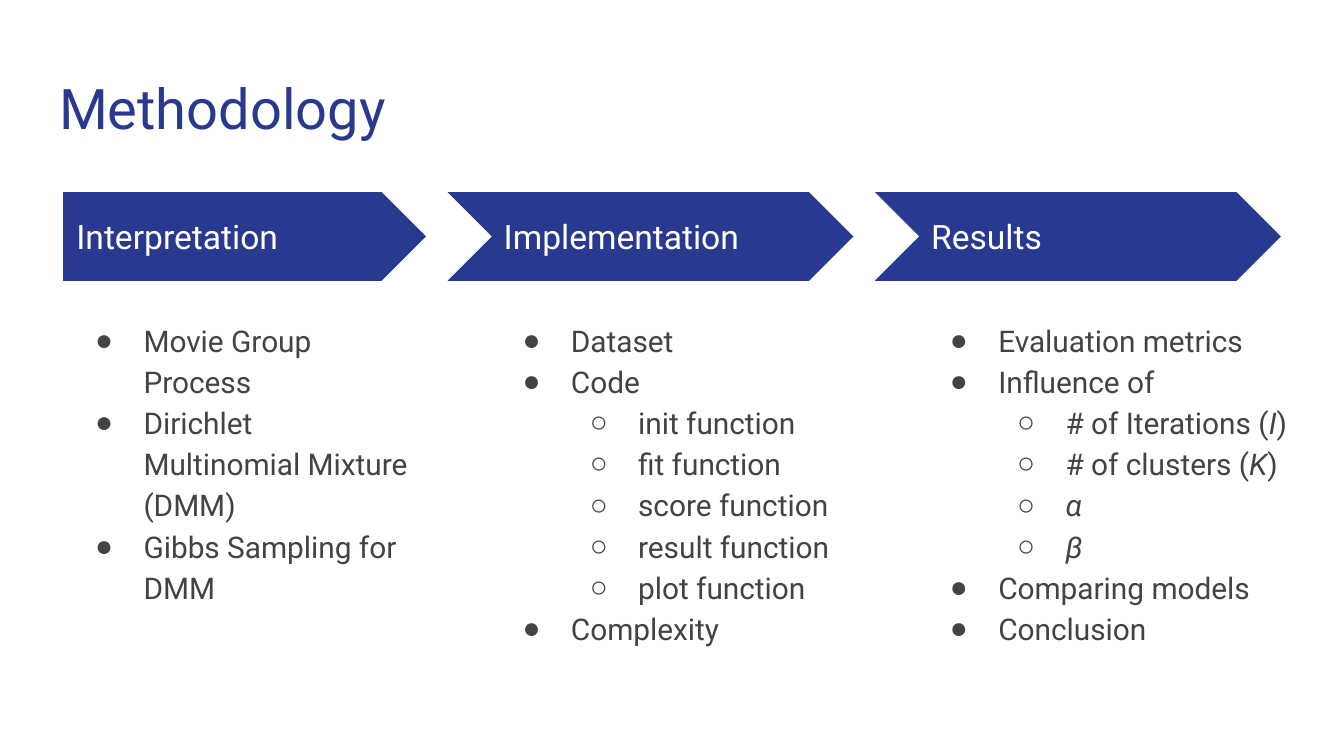
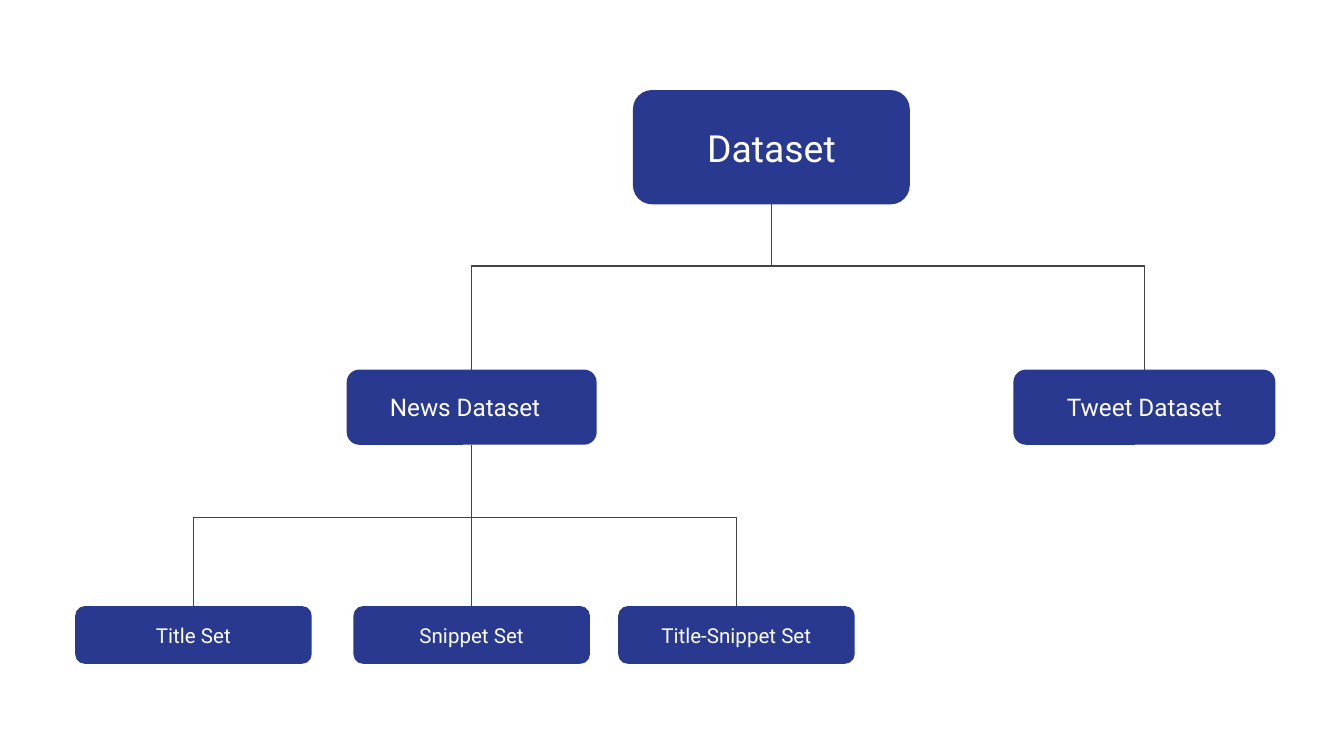
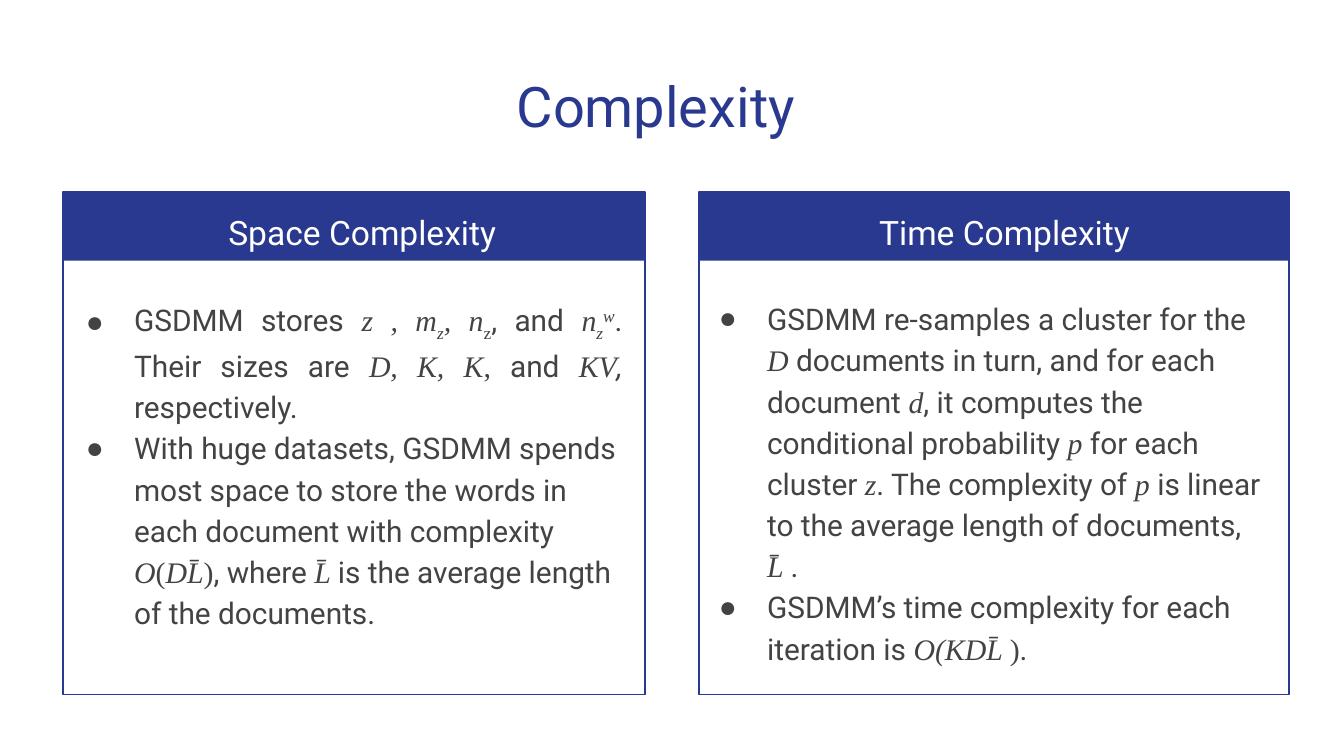
from collections import namedtuple

from lxml.etree import SubElement
from pptx import Presentation
from pptx.dml.color import RGBColor
from pptx.enum.shapes import MSO_CONNECTOR, MSO_SHAPE
from pptx.enum.text import MSO_ANCHOR, PP_ALIGN
from pptx.oxml.ns import qn
from pptx.util import Inches, Pt

NAVY = RGBColor(0x2A, 0x39, 0x90)
GREY = RGBColor(0x43, 0x43, 0x43)
WHITE = RGBColor(0xFF, 0xFF, 0xFF)
SANS = "Roboto"
SERIF = "Times New Roman"
TITLE_ONLY, BLANK = 5, 6
MARGIN = 0.47
BAND_TOP = 1.43

Box = namedtuple("Box", "left top width height")
Style = namedtuple("Style", "font italic baseline")
Item = namedtuple("Item", "spans level align", defaults=(0, PP_ALIGN.LEFT))

PLAIN = Style(SANS, False, 0)
SLANT = Style(SANS, True, 0)
MATH = Style(SERIF, True, 0)
UPRIGHT = Style(SERIF, False, 0)
SUB = Style(SERIF, True, -25000)
UPRIGHT_SUB = Style(SERIF, False, -25000)
SUP = Style(SERIF, True, 30000)

STEPS = [
    ("Interpretation", 2.7, [
        Item("Movie Group Process"),
        Item("Dirichlet Multinomial Mixture (DMM)"),
        Item("Gibbs Sampling for DMM"),
    ]),
    ("Implementation", 2.7, [
        Item("Dataset"),
        Item("Code"),
        *[Item(f"{name} function", 1) for name in ("init", "fit", "score", "result", "plot")],
        Item("Complexity"),
    ]),
    ("Results", 2.87, [
        Item("Evaluation metrics"),
        Item("Influence of"),
        Item([("# of Iterations (", PLAIN), ("I", SLANT), (")", PLAIN)], 1),
        Item([("# of clusters (", PLAIN), ("K", SLANT), (")", PLAIN)], 1),
        Item([("α", SLANT)], 1),
        Item([("β", SLANT)], 1),
        Item("Comparing models"),
        Item("Conclusion"),
    ]),
]

SPACE_ITEMS = [
    Item([
        ("GSDMM stores ", PLAIN), ("z , m", MATH), ("z", SUB), (", n", MATH),
        ("z", UPRIGHT_SUB), (", and ", PLAIN), ("n", MATH), ("z", SUB), ("w", SUP),
        (". Their sizes are ", PLAIN), ("D, K, K", MATH), (",", UPRIGHT),
        (" and ", PLAIN), ("KV", MATH), (",", SLANT), (" respectively.", PLAIN),
    ], align=PP_ALIGN.JUSTIFY),
    Item([
        ("With huge datasets, GSDMM spends most space to store the words in each "
         "document with complexity ", PLAIN),
        ("O", MATH), ("(", UPRIGHT), ("DL̄", MATH), (")", UPRIGHT), (", where ", PLAIN),
        ("L̄ ", MATH), ("is the average length of the documents.", PLAIN),
    ]),
]

TIME_ITEMS = [
    Item([
        ("GSDMM re-samples a cluster for the ", PLAIN), ("D", MATH),
        (" documents in turn, and for each document ", PLAIN), ("d", MATH),
        (", it computes the conditional probability ", PLAIN), ("p", MATH),
        (" for each cluster ", PLAIN), ("z", MATH), (". The complexity of ", PLAIN),
        ("p", MATH), (" is linear to the average length of documents, ", PLAIN),
        ("L̄ ", MATH), (".", PLAIN),
    ]),
    Item([
        ("GSDMM’s time complexity for each iteration is ", PLAIN),
        ("O(KDL̄ ", MATH), (")", UPRIGHT), (".", PLAIN),
    ]),
]


def inches(box):
    """Return the box's four lengths as Inches."""
    return [Inches(value) for value in box]


def add_span(para, text, size, color, style=PLAIN):
    """Add one formatted run to a paragraph."""
    span = para.add_run()
    span.text = text
    span.font.size = Pt(size)
    span.font.name = style.font
    span.font.italic = style.italic
    span.font.color.rgb = color
    if style.baseline:
        span._r.get_or_add_rPr().set("baseline", str(style.baseline))


def set_frame(frame, anchor):
    """Give a text frame wrapping, even insets and an anchor."""
    frame.word_wrap = True
    frame.vertical_anchor = anchor
    frame.margin_left = frame.margin_right = Inches(0.1)
    frame.margin_top = frame.margin_bottom = Inches(0.1)


def add_title(page, text, box, align=PP_ALIGN.LEFT):
    """Place and format the title placeholder."""
    title = page.shapes.title
    title.left, title.top, title.width, title.height = inches(box)
    set_frame(title.text_frame, MSO_ANCHOR.TOP)
    para = title.text_frame.paragraphs[0]
    para.alignment = align
    add_span(para, text, 30, NAVY)


def add_label(page, text, box, size, align=PP_ALIGN.CENTER, anchor=MSO_ANCHOR.MIDDLE, spacing=1.0):
    """Add one line of white text."""
    frame = page.shapes.add_textbox(*inches(box)).text_frame
    set_frame(frame, anchor)
    para = frame.paragraphs[0]
    para.alignment = align
    para.line_spacing = spacing
    add_span(para, text, size, WHITE)


def set_bullet(para, level):
    """Indent a paragraph and give it the bullet of its level."""
    para.level = level
    props = para._p.get_or_add_pPr()
    props.set("marL", str(Inches(0.5 * (level + 1))))
    props.set("indent", str(Inches(-0.36)))
    color = SubElement(props, qn("a:buClr"))
    SubElement(color, qn("a:srgbClr"), val=str(GREY))
    SubElement(props, qn("a:buFont"), typeface=SERIF)
    SubElement(props, qn("a:buChar"), char="●○"[level])


def add_bullets(page, items, box):
    """Add a bulleted list."""
    frame = page.shapes.add_textbox(*inches(box)).text_frame
    set_frame(frame, MSO_ANCHOR.TOP)
    for index, item in enumerate(items):
        para = frame.add_paragraph() if index else frame.paragraphs[0]
        para.alignment = item.align
        para.line_spacing = 1.15
        set_bullet(para, item.level)
        spans = [(item.spans, PLAIN)] if isinstance(item.spans, str) else item.spans
        for text, style in spans:
            add_span(para, text, 16, GREY, style)


def add_block(shapes, kind, box, filled=True):
    """Add a navy shape, either filled or outlined."""
    block = shapes.add_shape(kind, *inches(box))
    block.shadow.inherit = False
    if filled:
        block.fill.solid()
        block.fill.fore_color.rgb = NAVY
        block.line.fill.background()
    else:
        block.fill.background()
        block.line.color.rgb = NAVY
        block.line.width = Pt(0.75)
    return block


def add_step(page, heading, items, box, first):
    """Add one process arrow with its heading and list."""
    notch = 0 if first else 0.32
    kind = MSO_SHAPE.PENTAGON if first else MSO_SHAPE.CHEVRON
    arrow = Box(box.left - notch, box.top, 2.7 + notch, 0.66)
    add_block(page.shapes, kind, arrow).adjustments[0] = 0.5
    add_label(page, heading, Box(box.left, box.top + 0.16, 2.47, 0.34), 18, PP_ALIGN.LEFT)
    add_bullets(page, items, Box(box.left, box.top + 0.83, box.width, box.height - 0.83))


def add_node(page, text, box, label_size, size, shift=0):
    """Add one tree node with its label centred on it."""
    node = add_block(page.shapes, MSO_SHAPE.ROUNDED_RECTANGLE, box)
    width, height = label_size
    left = box.left + (box.width - width) / 2 + shift
    add_label(page, text, Box(left, box.top + (box.height - height) / 2, width, height), size)
    return node


def add_branch(page, start, end, source=None, target=None, bent=False):
    """Add a tree line, joined to the nodes it touches."""
    kind = MSO_CONNECTOR.ELBOW if bent else MSO_CONNECTOR.STRAIGHT
    branch = page.shapes.add_connector(kind, *inches(start + end))
    if bent:
        branch.element.spPr.find(qn("a:prstGeom")).set("prst", "bentConnector2")
    if source is not None:
        branch.begin_connect(source, 2)
    if target is not None:
        branch.end_connect(target, 0)
    branch.line.color.rgb = GREY
    branch.line.width = Pt(0.75)
    SubElement(branch.element.spPr, qn("a:effectLst"))


def add_panel(page, heading, items, box, heading_box, list_shift):
    """Add an outlined panel with a heading band and a list."""
    group = page.shapes.add_group_shape()
    add_block(group.shapes, MSO_SHAPE.RECTANGLE, box._replace(height=0.51))
    add_block(group.shapes, MSO_SHAPE.RECTANGLE, box, filled=False)
    add_label(page, heading, heading_box, 18, anchor=MSO_ANCHOR.TOP, spacing=1.15)
    add_bullets(page, items, Box(box.left + list_shift, box.top + 0.67, box.width, 3.23))


def build_methodology(deck):
    """Build the three-step process slide."""
    page = deck.slides.add_slide(deck.slide_layouts[TITLE_ONLY])
    add_title(page, "Methodology", Box(0.34, 0.45, 9.32, 0.66))
    for index, (heading, width, items) in enumerate(STEPS):
        box = Box(MARGIN + 3.18 * index, BAND_TOP, width, 3.73)
        add_step(page, heading, items, box, index == 0)


def build_dataset_tree(deck):
    """Build the dataset tree slide."""
    page = deck.slides.add_slide(deck.slide_layouts[BLANK])
    root = add_node(page, "Dataset", Box(4.71, 0.67, 2.06, 0.85), (1.7, 0.79), 20)
    news = add_node(page, "News Dataset", Box(2.58, 2.75, 1.86, 0.56), (1.76, 0.26), 13, -0.05)
    title_set, snippet_set, both_set = [
        add_node(page, text, Box(left, 4.51, 1.76, 0.43), (1.76, 0.26), 11)
        for text, left in (("Title Set", 0.56), ("Snippet Set", 2.63), ("Title-Snippet Set", 4.6))
    ]
    tweet = add_node(page, "Tweet Dataset", Box(7.54, 2.75, 1.95, 0.56), (1.76, 0.26), 13)

    root_fork, news_fork = (5.74, 1.98), (3.51, 3.85)
    add_branch(page, (5.74, 1.52), root_fork, source=root)
    add_branch(page, (3.51, 3.31), news_fork, source=news)
    add_branch(page, news_fork, (3.51, 4.51), target=snippet_set)
    for fork, end, target in (
        (root_fork, (3.51, 2.75), news),
        (root_fork, (8.52, 2.75), tweet),
        (news_fork, (1.44, 4.51), title_set),
        (news_fork, (5.48, 4.51), both_set),
    ):
        add_branch(page, fork, end, target=target, bent=True)


def build_complexity(deck):
    """Build the slide with two complexity panels."""
    page = deck.slides.add_slide(deck.slide_layouts[TITLE_ONLY])
    add_title(page, "Complexity", Box(0.22, 0.43, 9.32, 0.66), PP_ALIGN.CENTER)
    add_panel(page, "Space Complexity", SPACE_ITEMS, Box(MARGIN, BAND_TOP, 4.33, 3.74),
              Box(MARGIN, BAND_TOP, 4.45, 0.5), -0.07)
    add_panel(page, "Time Complexity", TIME_ITEMS, Box(5.2, BAND_TOP, 4.39, 3.74),
              Box(5.36, BAND_TOP, 4.23, 0.5), -0.09)


def main():
    """Build and save the deck."""
    deck = Presentation()
    deck.slide_width = Inches(10)
    deck.slide_height = deck.slide_width * 9 // 16
    build_methodology(deck)
    build_dataset_tree(deck)
    build_complexity(deck)
    deck.save("out.pptx")


if __name__ == "__main__":
    main()
